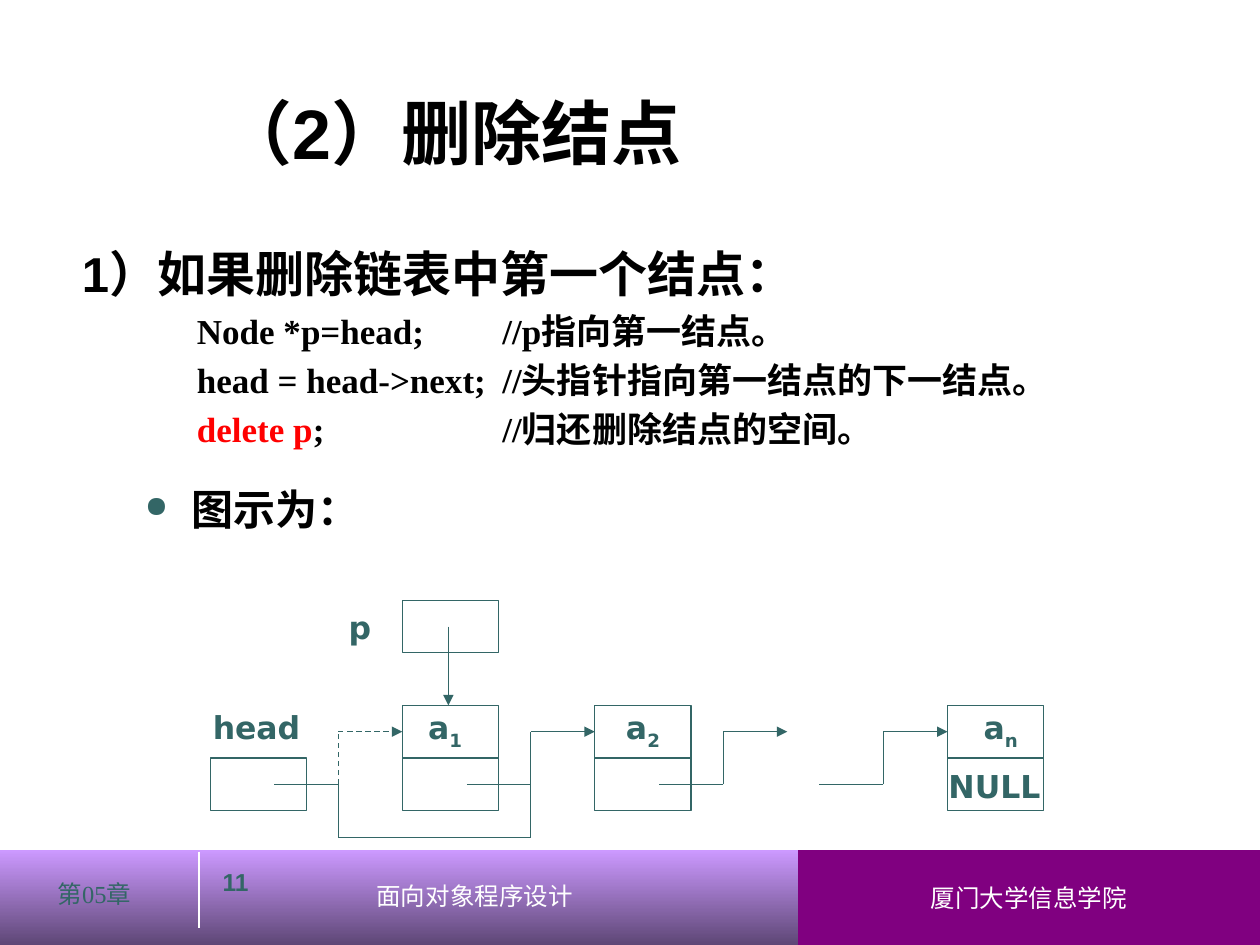
import pptx
import pptx.util
import pptx.dml.color
import pptx.enum.dml
import pptx.enum.shapes
import pptx.enum.text
import pptx.oxml.ns
from lxml import etree

Cm, Pt = pptx.util.Cm, pptx.util.Pt
ALIGN = pptx.enum.text.PP_ALIGN
MIDDLE = pptx.enum.text.MSO_ANCHOR.MIDDLE

TEAL, BLACK, WHITE, RED = "336666", "000000", "FFFFFF", "FF0000"
PURPLE, LILAC, DUSK = "800080", "CC99FF", "5E4776"
SANS, SERIF, LABEL = "Arial", "Times New Roman", "DejaVu Sans"

TITLE = "（2）删除结点"
HEADING = "1）如果删除链表中第一个结点："
CODE = [
    [("\tNode *p=head;\t//p指向第一结点。", BLACK)],
    [("\thead = head->next;\t//头指针指向第一结点的下一结点。", BLACK)],
    [("\tdelete p", RED), (";\t//归还删除结点的空间。", BLACK)],
]
CAPTION = "图示为："
CODE_TABS = [2.32, 8.48]

FOOTER = [
    ("第05章", 0, 17.6, 3.81, 1.45, SERIF, TEAL, False, ALIGN.CENTER),
    ("面向对象程序设计", 7.34, 17.63, 4.52, 1.07, SERIF, WHITE, False, ALIGN.LEFT),
    ("11", 4.24, 17.35, 3.6, 1.27, SANS, TEAL, True, ALIGN.LEFT),
]
LABELS = [
    ("head", "", 4.04, 14.15, 2.29),
    ("p", "", 6.78, 12.14, 0.97),
    ("a", "1", 8.38, 14.15, 1.24),
    ("a", "2", 12.37, 14.15, 1.24),
    ("a", "n", 19.58, 14.15, 1.24),
    ("NULL", "", 18.87, 15.34, 2.39),
]

NODE_W, ROW, STEP = 1.94, 1.06, 1.29
HEAD_X, A1_X, A2_X, GAP_X, AN_X = 4.24, 8.11, 11.99, 15.87, 19.1
TOP = 14.22
DIVIDE = TOP + ROW
HIGH, LOW = TOP + ROW / 2, DIVIDE + ROW / 2
P_TOP, P_ARROW_X = TOP - 2 * ROW, 9.04
BYPASS_Y = 16.89


def color(value):
    return pptx.dml.color.RGBColor.from_string(value)


def add_run(p, text, size, font, rgb, bold=False):
    r = p.add_run()
    r.text = text
    r.font.size, r.font.name, r.font.bold = Pt(size), font, bold
    r.font.color.rgb = color(rgb)
    return r


def add_xml(parent, tag, **attrs):
    el = etree.SubElement(parent, pptx.oxml.ns.qn(tag))
    for key, value in attrs.items():
        el.set(key, value)
    return el


def add_rect(s, x, y, w, h):
    sp = s.shapes.add_shape(pptx.enum.shapes.MSO_SHAPE.RECTANGLE,
                            Cm(x), Cm(y), Cm(w), Cm(h))
    sp.shadow.inherit = False
    return sp


def add_box(s, x, y, w, h):
    sp = add_rect(s, x, y, w, h)
    sp.fill.background()
    sp.line.color.rgb, sp.line.width = color(TEAL), Pt(0.75)


def add_line(s, x1, y1, x2, y2, rgb=TEAL, width=0.75, arrow=False, dashed=False):
    cn = s.shapes.add_connector(pptx.enum.shapes.MSO_CONNECTOR.STRAIGHT,
                                Cm(x1), Cm(y1), Cm(x2), Cm(y2))
    cn.line.color.rgb, cn.line.width = color(rgb), Pt(width)
    if dashed:
        cn.line.dash_style = pptx.enum.dml.MSO_LINE.DASH
    if arrow:
        add_xml(cn.line._get_or_add_ln(), "a:tailEnd", type="triangle")
    add_xml(cn._element.spPr, "a:effectLst")


def add_text(s, x, y, w, h, wrap=True):
    tf = s.shapes.add_textbox(Cm(x), Cm(y), Cm(w), Cm(h)).text_frame
    tf.word_wrap = wrap
    return tf


def add_elbow(s, target, dashed=False):
    bend = target - STEP
    add_line(s, bend - STEP, LOW, bend, LOW)
    add_line(s, bend, LOW, bend, HIGH, dashed=dashed)
    add_line(s, bend, HIGH, target, HIGH, arrow=True, dashed=dashed)


def add_footer(s):
    band = add_rect(s, 0, 17.14, 25.4, 1.91)
    band.fill.gradient()
    band.fill.gradient_angle = 270
    for stop, rgb in zip(band.fill.gradient_stops, (LILAC, DUSK)):
        stop.color.rgb = color(rgb)
    band.line.fill.background()
    add_line(s, 4.02, 17.17, 4.02, 18.7, WHITE, 1)
    school = add_rect(s, 16.09, 17.14, 9.31, 1.91)
    school.fill.solid()
    school.fill.fore_color.rgb = color(PURPLE)
    school.line.fill.background()
    school.text_frame.vertical_anchor = MIDDLE
    p = school.text_frame.paragraphs[0]
    p.alignment = ALIGN.CENTER
    add_run(p, "厦门大学信息学院", 14, "Lato", WHITE)
    for text, x, y, w, h, font, rgb, bold, align in FOOTER:
        p = add_text(s, x, y, w, h).paragraphs[0]
        p.alignment = align
        add_run(p, text, 14, font, rgb, bold)


def add_title(s):
    sp = s.shapes.title
    sp.left, sp.top, sp.width, sp.height = Cm(4.24), Cm(0.53), Cm(19.48), Cm(4.24)
    sp.text_frame.vertical_anchor = MIDDLE
    p = sp.text_frame.paragraphs[0]
    p.alignment = ALIGN.LEFT
    add_run(p, TITLE, 40, SANS, BLACK, True)


def add_body(s):
    tf = add_text(s, 1.4, 4.78, 22.43, 11.07)
    add_run(tf.paragraphs[0], HEADING, 28, SANS, BLACK, True)
    for line in CODE:
        p = tf.add_paragraph()
        tabs = add_xml(p._p.get_or_add_pPr(), "a:tabLst")
        for pos in CODE_TABS:
            add_xml(tabs, "a:tab", pos=str(Cm(pos)), algn="l")
        p.space_before = Pt(4)
        for text, rgb in line:
            add_run(p, text, 20, SERIF, rgb, True)
    p = tf.add_paragraph()
    pPr = p._p.get_or_add_pPr()
    pPr.set("marL", str(Cm(2.22)))
    pPr.set("indent", str(Cm(-0.95)))
    add_xml(add_xml(pPr, "a:buClr"), "a:srgbClr", val=TEAL)
    add_xml(pPr, "a:buSzPct", val="70000")
    add_xml(pPr, "a:buChar", char="●")
    p.line_spacing, p.space_before = 1.5, Pt(5)
    add_run(p, CAPTION, 24, SERIF, BLACK, True)


def add_diagram(s):
    for x in (A1_X, A2_X, AN_X):
        add_box(s, x, TOP, NODE_W, 2 * ROW)
        add_line(s, x, DIVIDE, x + NODE_W, DIVIDE)
    add_box(s, HEAD_X, DIVIDE, NODE_W, ROW)
    add_box(s, A1_X, P_TOP, NODE_W, ROW)
    add_line(s, P_ARROW_X, P_TOP + ROW / 2, P_ARROW_X, TOP, arrow=True)
    for target in (A1_X, A2_X, GAP_X, AN_X):
        add_elbow(s, target, dashed=target == A1_X)
    left, right = A1_X - STEP, A2_X - STEP
    add_line(s, left, LOW, left, BYPASS_Y)
    add_line(s, left, BYPASS_Y, right, BYPASS_Y)
    add_line(s, right, BYPASS_Y, right, LOW)
    for text, sub, x, y, w in LABELS:
        p = add_text(s, x, y, w, 1.02, wrap=False).paragraphs[0]
        add_run(p, text, 18, LABEL, TEAL, True)
        if sub:
            r = add_run(p, sub, 18, LABEL, TEAL, True)
            r.font._element.set("baseline", "-25000")


def main():
    prs = pptx.Presentation()
    prs.slide_width, prs.slide_height = Cm(25.4), Cm(19.05)
    s = prs.slides.add_slide(prs.slide_layouts[5])
    add_footer(s)
    add_title(s)
    add_body(s)
    add_diagram(s)
    prs.save("out.pptx")


if __name__ == "__main__":
    main()
